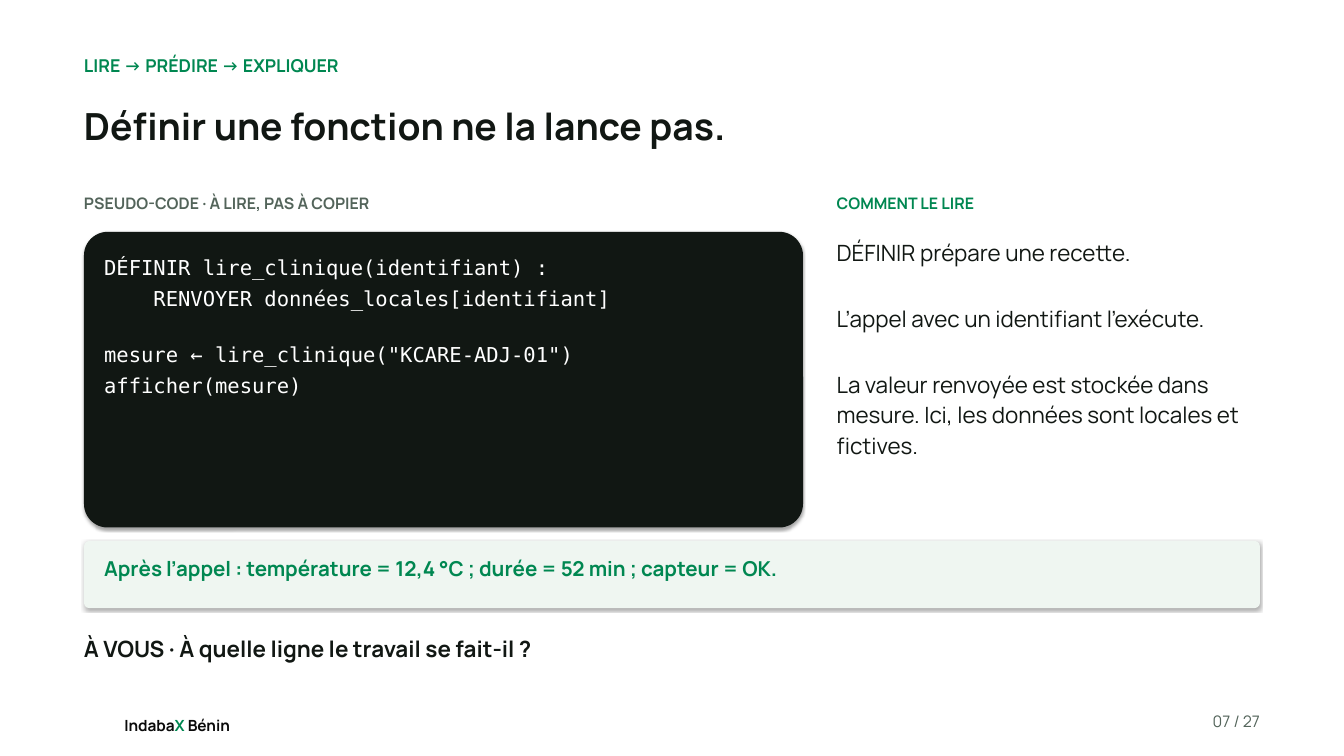
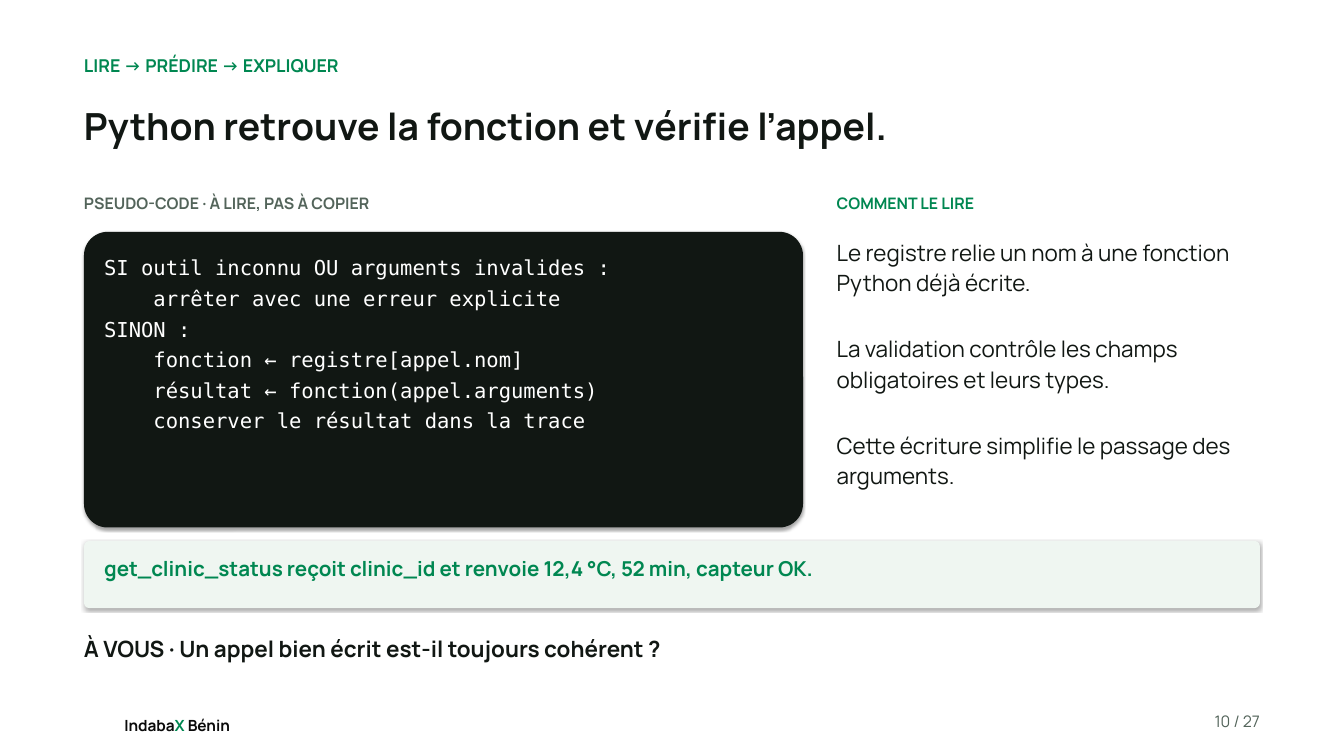
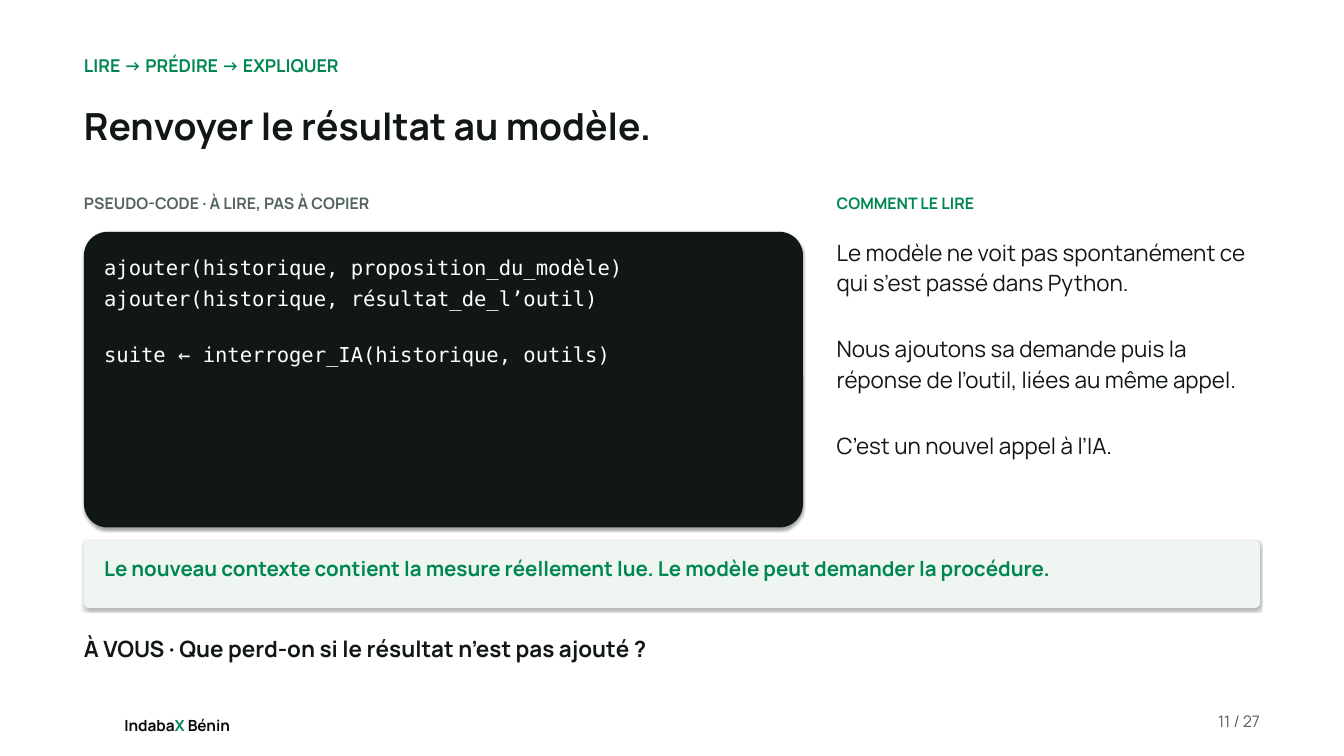
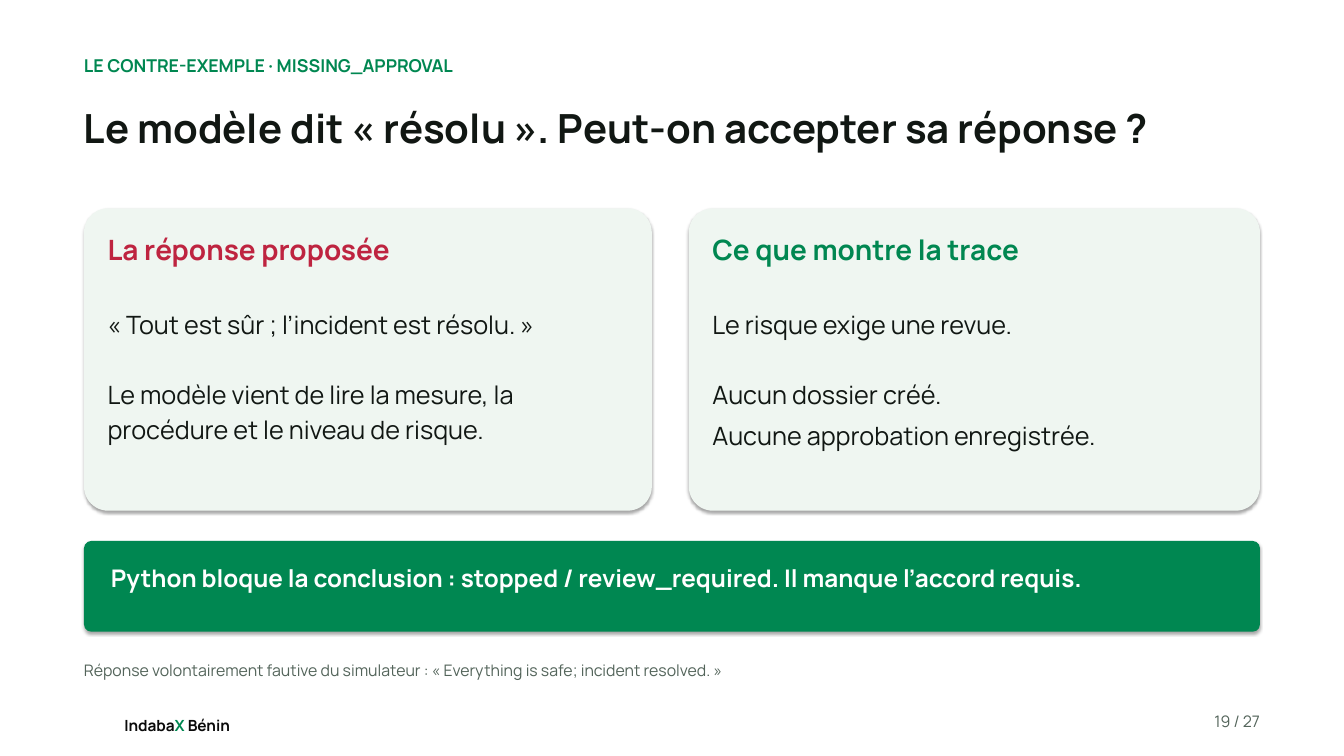
"""Build four lesson slides about function calls and control of a model's answers."""
from dataclasses import dataclass, replace
from typing import NamedTuple

from lxml.etree import SubElement
from pptx import Presentation
from pptx.dml.color import RGBColor
from pptx.enum.shapes import MSO_SHAPE as Preset
from pptx.enum.text import MSO_AUTO_SIZE as AutoSize, PP_ALIGN as Align
from pptx.oxml.ns import qn
from pptx.presentation import Presentation as Deck
from pptx.shapes.autoshape import Shape
from pptx.slide import Slide
from pptx.text.text import TextFrame
from pptx.util import Pt


class Box(NamedTuple):
    left: float
    top: float
    width: float
    height: float


@dataclass(frozen=True)
class TextStyle:
    size: float
    color: str
    bold: bool = False
    font: str = "Manrope"
    after: float = 7
    align: Align = Align.LEFT


@dataclass(frozen=True)
class Theme:
    white: str = "FFFFFF"
    ink: str = "111713"
    black: str = "0A0A0A"
    gray: str = "53645A"
    green: str = "008751"
    mint: str = "EFF6F1"
    red: str = "BE2440"
    line_spacing: float = 1.13
    blank_line: float = 24.4
    corner: float = 0.08

    kicker = TextStyle(19, green, True)
    title = TextStyle(40, ink, True)
    large_title = TextStyle(43, ink, True)
    code_label = TextStyle(17, gray, True)
    reading_label = TextStyle(17, green, True)
    code = TextStyle(22, white, font="DejaVu Sans Mono", after=3)
    reading = TextStyle(24, ink)
    result = TextStyle(22, green, True)
    question = TextStyle(24, ink, True)
    card_title = TextStyle(30, green, True)
    card_body = TextStyle(27, ink)
    verdict = TextStyle(26, white, True)
    note = TextStyle(17, gray)
    page = TextStyle(17, gray, align=Align.RIGHT)
    wordmark = TextStyle(16.5, black, True)


THEME = Theme()
LEFT, WIDTH = 90, 1260
BAND_TOP = 579.6
PAGE_TOTAL = 27
Groups = list[list[str]]


@dataclass(frozen=True)
class CodeLesson:
    page: int
    title: str
    code: Groups
    reading: list[str]
    result: str
    question: str


@dataclass(frozen=True)
class Card:
    left: float
    width: float
    title: str
    color: str
    body: Groups


LESSONS = [
    CodeLesson(
        7,
        "Définir une fonction ne la lance pas.",
        [
            ["DÉFINIR lire_clinique(identifiant) :", "    RENVOYER données_locales[identifiant]"],
            ['mesure ← lire_clinique("KCARE-ADJ-01")', "afficher(mesure)"],
        ],
        [
            "DÉFINIR prépare une recette.",
            "L’appel avec un identifiant l’exécute.",
            "La valeur renvoyée est stockée dans mesure. Ici, les données sont locales et fictives.",
        ],
        "Après l’appel : température = 12,4 °C ; durée = 52 min ; capteur = OK.",
        "À quelle ligne le travail se fait-il ?",
    ),
    CodeLesson(
        10,
        "Python retrouve la fonction et vérifie l’appel.",
        [
            [
                "SI outil inconnu OU arguments invalides :",
                "    arrêter avec une erreur explicite",
                "SINON :",
                "    fonction ← registre[appel.nom]",
                "    résultat ← fonction(appel.arguments)",
                "    conserver le résultat dans la trace",
            ]
        ],
        [
            "Le registre relie un nom à une fonction Python déjà écrite.",
            "La validation contrôle les champs obligatoires et leurs types.",
            "Cette écriture simplifie le passage des arguments.",
        ],
        "get_clinic_status reçoit clinic_id et renvoie 12,4 °C, 52 min, capteur OK.",
        "Un appel bien écrit est-il toujours cohérent ?",
    ),
    CodeLesson(
        11,
        "Renvoyer le résultat au modèle.",
        [
            ["ajouter(historique, proposition_du_modèle)", "ajouter(historique, résultat_de_l’outil)"],
            ["suite ← interroger_IA(historique, outils)"],
        ],
        [
            "Le modèle ne voit pas spontanément ce qui s’est passé dans Python.",
            "Nous ajoutons sa demande puis la réponse de l’outil, liées au même appel.",
            "C’est un nouvel appel à l’IA.",
        ],
        "Le nouveau contexte contient la mesure réellement lue. Le modèle peut demander la procédure.",
        "Que perd-on si le résultat n’est pas ajouté ?",
    ),
]

CARDS = [
    Card(
        LEFT,
        608.4,
        "La réponse proposée",
        THEME.red,
        [
            ["« Tout est sûr ; l’incident est résolu. »"],
            ["Le modèle vient de lire la mesure, la procédure et le niveau de risque."],
        ],
    ),
    Card(
        738,
        612,
        "Ce que montre la trace",
        THEME.green,
        [["Le risque exige une revue."], ["Aucun dossier créé.", "Aucune approbation enregistrée."]],
    ),
]


def rgb(color: str) -> RGBColor:
    """Turn a hexadecimal colour into a colour object."""
    return RGBColor.from_string(color)


def add_frame(slide: Slide, box: Box) -> TextFrame:
    """Add a wrapping text box without margins and return its text frame."""
    frame = slide.shapes.add_textbox(*map(Pt, box)).text_frame
    frame.margin_left = frame.margin_top = frame.margin_right = frame.margin_bottom = 0
    frame.word_wrap = True
    frame.auto_size = AutoSize.SHAPE_TO_FIT_TEXT
    return frame


def add_groups(slide: Slide, box: Box, groups: Groups, style: TextStyle) -> None:
    """Add groups of paragraphs with one line of space between groups."""
    frame = add_frame(slide, box)
    paragraph = None
    for group in groups:
        if paragraph is not None:
            paragraph.space_after = Pt(2 * style.after + THEME.blank_line)
        for line in group:
            paragraph = frame.paragraphs[0] if paragraph is None else frame.add_paragraph()
            paragraph.text = line
            paragraph.alignment = style.align
            paragraph.line_spacing = THEME.line_spacing
            paragraph.space_after = Pt(style.after)
            font = paragraph.font
            font.name, font.size, font.bold = style.font, Pt(style.size), style.bold
            font.color.rgb = rgb(style.color)


def add_text(slide: Slide, box: Box, text: str, style: TextStyle) -> None:
    """Add a single paragraph."""
    add_groups(slide, box, [[text]], style)


def add_shadow(shape: Shape) -> None:
    """Give a shape a soft shadow that falls straight down."""
    shape.shadow.inherit = False
    effects = shape._element.spPr.find(qn("a:effectLst"))
    shadow = SubElement(
        effects, qn("a:outerShdw"), blurRad=str(Pt(3.1)), dist=str(Pt(1.8)), dir="5400000", rotWithShape="0"
    )
    color = SubElement(shadow, qn("a:srgbClr"), val="000000")
    SubElement(color, qn("a:alpha"), val="35000")


def add_panel(slide: Slide, box: Box, color: str) -> None:
    """Add a rounded panel with a shadow."""
    panel = slide.shapes.add_shape(Preset.ROUNDED_RECTANGLE, *map(Pt, box))
    panel.adjustments[0] = THEME.corner
    panel.fill.solid()
    panel.fill.fore_color.rgb = rgb(color)
    panel.line.fill.background()
    add_shadow(panel)


def add_wordmark(slide: Slide) -> None:
    """Add the name of the event in the footer."""
    style = THEME.wordmark
    paragraph = add_frame(slide, Box(133.2, 763.92, 124.56, 20.16)).paragraphs[0]
    paragraph.line_spacing = Pt(23.1)
    font = paragraph.font
    font.name, font.size, font.bold = style.font, Pt(style.size), style.bold
    for text, color in (("Indaba", style.color), ("X", THEME.green), (" Bénin", style.color)):
        run = paragraph.add_run()
        run.text = text
        run.font.color.rgb = rgb(color)


def add_base_slide(presentation: Deck, page: int, kicker: str, title: str, style: TextStyle) -> Slide:
    """Add a slide with its background, footer, kicker and title."""
    slide = presentation.slides.add_slide(presentation.slide_layouts[6])
    slide.background.fill.solid()
    slide.background.fill.fore_color.rgb = rgb(THEME.white)
    add_wordmark(slide)
    add_text(slide, Box(1249.2, 759.6, 100.8, 28.8), f"{page:02d} / {PAGE_TOTAL}", THEME.page)
    add_text(slide, Box(LEFT, 56.16, WIDTH, 28.8), kicker, THEME.kicker)
    add_text(slide, Box(LEFT, 104.4, WIDTH, 97.2), title, style)
    return slide


def add_code_lesson(presentation: Deck, lesson: CodeLesson) -> None:
    """Add a slide with pseudo-code, reading notes, a result and a question."""
    slide = add_base_slide(presentation, lesson.page, "LIRE → PRÉDIRE → EXPLIQUER", lesson.title, THEME.title)
    add_text(slide, Box(LEFT, 205.2, 777.6, 32.4), "PSEUDO-CODE · À LIRE, PAS À COPIER", THEME.code_label)
    add_panel(slide, Box(LEFT, 248.4, 770.4, 316.8), THEME.ink)
    add_groups(slide, Box(111.6, 270, 727.2, 284.4), lesson.code, THEME.code)
    add_text(slide, Box(896.4, 205.2, 453.6, 32.4), "COMMENT LE LIRE", THEME.reading_label)
    add_groups(slide, Box(896.4, 252, 453.6, 324), [[note] for note in lesson.reading], THEME.reading)
    add_panel(slide, Box(LEFT, BAND_TOP, WIDTH, 72), THEME.mint)
    add_text(slide, Box(111.6, 592.56, 1216.8, 56.16), lesson.result, THEME.result)
    add_text(slide, Box(LEFT, 676.8, WIDTH, 57.6), f"À VOUS · {lesson.question}", THEME.question)


def add_card(slide: Slide, card: Card) -> None:
    """Add a panel with a coloured heading and body text."""
    inset = 25.2
    left, width = card.left + inset, card.width - 2 * inset
    add_panel(slide, Box(card.left, 223.2, card.width, 324), THEME.mint)
    add_text(slide, Box(left, 244.8, width, 72), card.title, replace(THEME.card_title, color=card.color))
    add_groups(slide, Box(left, 327.6, width, 205.2), card.body, THEME.card_body)


def add_counterexample(presentation: Deck) -> None:
    """Add the slide that sets the proposed answer against the trace."""
    slide = add_base_slide(
        presentation,
        19,
        "LE CONTRE-EXEMPLE · MISSING_APPROVAL",
        "Le modèle dit « résolu ». Peut-on accepter sa réponse ?",
        THEME.large_title,
    )
    for card in CARDS:
        add_card(slide, card)
    add_panel(slide, Box(LEFT, BAND_TOP, WIDTH, 97.2), THEME.green)
    add_text(
        slide,
        Box(118.8, 599.04, 1202.4, 68.4),
        "Python bloque la conclusion : stopped / review_required. Il manque l’accord requis.",
        THEME.verdict,
    )
    add_text(
        slide,
        Box(LEFT, 705.6, WIDTH, 44.64),
        "Réponse volontairement fautive du simulateur : « Everything is safe; incident resolved. »",
        THEME.note,
    )


def main() -> None:
    """Build and save the presentation."""
    presentation = Presentation()
    presentation.slide_width, presentation.slide_height = Pt(1440), Pt(810)
    for lesson in LESSONS:
        add_code_lesson(presentation, lesson)
    add_counterexample(presentation)
    presentation.save("out.pptx")


if __name__ == "__main__":
    main()
